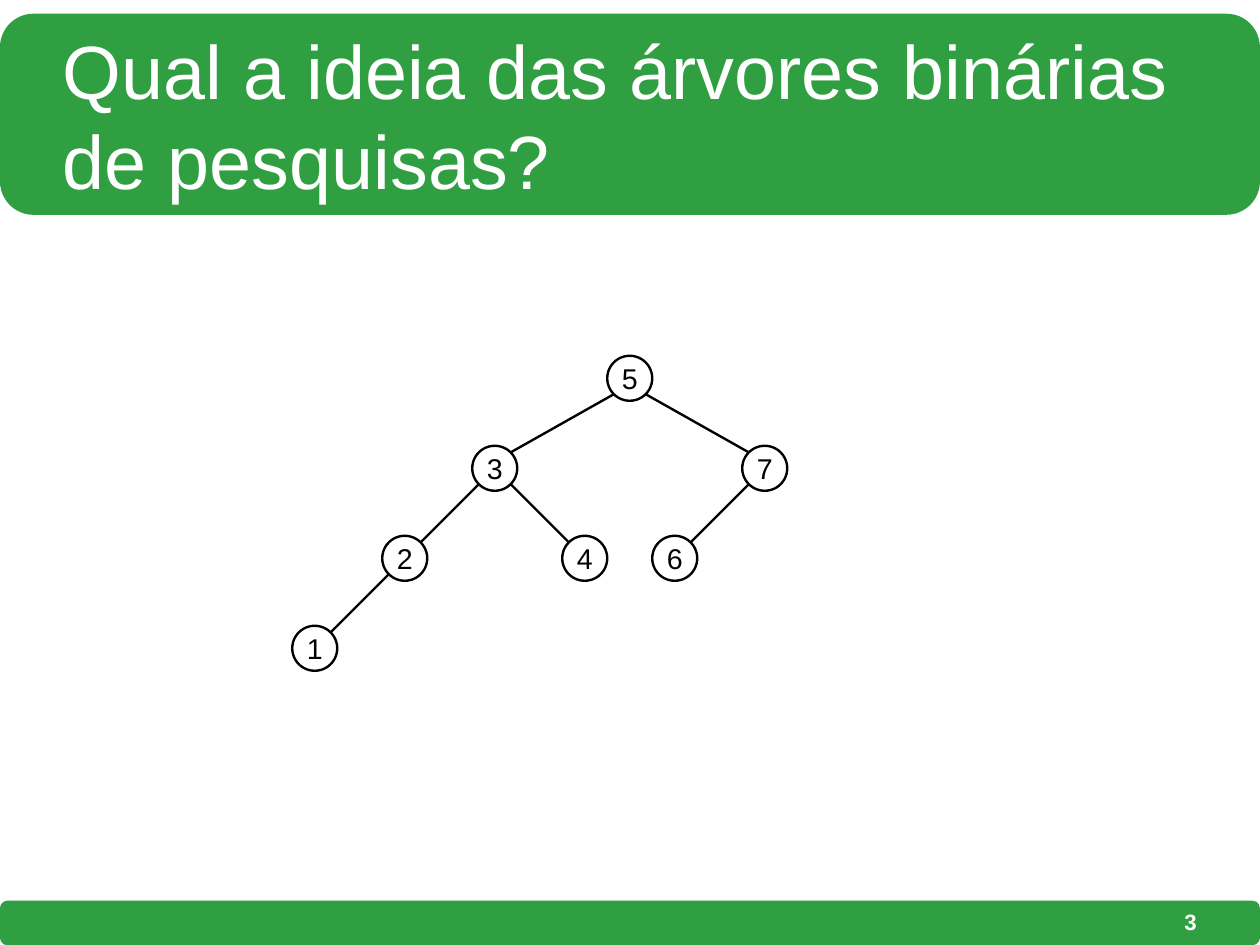
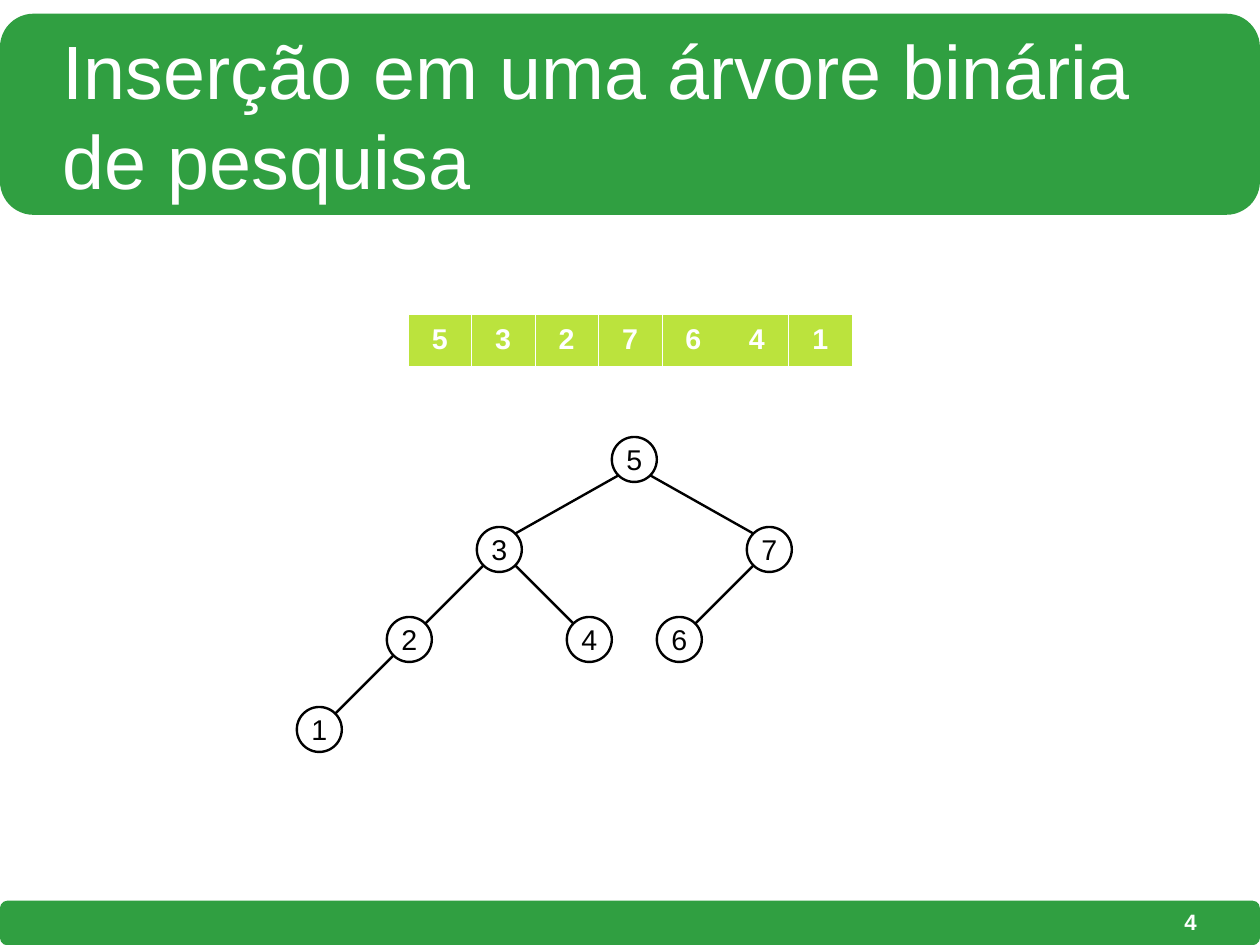
import dataclasses

import pptx
import pptx.dml.color
import pptx.enum.shapes
import pptx.enum.text
import pptx.oxml
import pptx.oxml.ns
import pptx.util

Inches = pptx.util.Inches
Pt = pptx.util.Pt
Align = pptx.enum.text.PP_ALIGN
Anchor = pptx.enum.text.MSO_ANCHOR
ShapeKind = pptx.enum.shapes.MSO_SHAPE


@dataclasses.dataclass(frozen=True)
class Theme:
    font: str = "Arial"
    band: str = "309F41"
    cell: str = "BBE33D"
    light: str = "FFFFFF"
    ink: str = "000000"
    title_size: float = 47.6
    body_size: float = 18
    number_size: float = 14
    tree_line: float = 1.5
    cell_line: float = 0.06


THEME = Theme()
GRID = 1 / 2.54  # one centimetre: the diameter of a node
LEVEL_STEP = 2 * GRID
WIDTH, HEIGHT = 28 * GRID, 21 * GRID
MARGIN = 0.55
TITLE_BAND = (0, 0.12, WIDTH, 1.76)
FOOTER_BAND = (0, 7.88, WIDTH, 0.39)
TITLE_BOX = (MARGIN, 0.26, WIDTH - 2 * MARGIN, 1.48)
NUMBER_BOX = (7.9, 7.87, 2.57, 0.39)

# key: (parent, columns from the root, level)
TREE = {
    5: (None, 0, 0),
    3: (5, -3, 1),
    2: (3, -5, 2),
    7: (5, 3, 1),
    6: (7, 1, 2),
    4: (3, -1, 2),
    1: (2, -7, 3),
}

SLIDES = [
    {
        "title": "Qual a ideia das árvores binárias de pesquisas?",
        "number": 3,
        "root": (5.51, 3.31),
    },
    {
        "title": "Inserção em uma árvore binária de pesquisa",
        "number": 4,
        "root": (5.55, 4.02),
        "keys": [5, 3, 2, 7, 6, 4, 1],
    },
]
TABLE_LEFT, TABLE_TOP = 3.57, 2.75
CELL_WIDTH, CELL_HEIGHT = 0.555, 0.45
UNRULED_EDGE = 5  # the edge between the fifth and sixth cells has no line


def rgb(color):
    return pptx.dml.color.RGBColor.from_string(color)


def inches(*lengths):
    return [Inches(length) for length in lengths]


def write(text_frame, text, *, size, color, bold=False, align=Align.LEFT):
    paragraph = text_frame.paragraphs[0]
    paragraph.alignment = align
    run = paragraph.add_run()
    run.text = str(text)
    run.font.name = THEME.font
    run.font.size = Pt(size)
    run.font.bold = bold
    run.font.color.rgb = rgb(color)


def fit_frame(text_frame, wrap=True):
    """Centre the text vertically and drop the inner margins."""
    text_frame.word_wrap = wrap
    text_frame.auto_size = pptx.enum.text.MSO_AUTO_SIZE.NONE
    text_frame.vertical_anchor = Anchor.MIDDLE
    text_frame.margin_left = text_frame.margin_right = 0
    text_frame.margin_top = text_frame.margin_bottom = 0


def add_bands(layout, slide):
    """Draw the bands on the slide, then move them behind everything on its layout."""
    for box in (TITLE_BAND, FOOTER_BAND):
        band = slide.shapes.add_shape(ShapeKind.ROUNDED_RECTANGLE, *inches(*box))
        band.shadow.inherit = False
        band.fill.solid()
        band.fill.fore_color.rgb = rgb(THEME.band)
        band.line.fill.background()
        layout.shapes.element.insert(2, band.element)


def add_title(slide, text):
    title = slide.shapes.title
    title.left, title.top, title.width, title.height = inches(*TITLE_BOX)
    fit_frame(title.text_frame)
    write(title.text_frame, text, size=THEME.title_size, color=THEME.light)


def add_number(slide, number):
    box = slide.shapes.add_textbox(*inches(*NUMBER_BOX))
    fit_frame(box.text_frame)
    write(box.text_frame, number, size=THEME.number_size, color=THEME.light,
          bold=True, align=Align.RIGHT)


def add_node(shapes, key, center):
    x, y = center
    node = shapes.add_shape(
        ShapeKind.OVAL, *inches(x - GRID / 2, y - GRID / 2, GRID, GRID))
    node.shadow.inherit = False
    node.fill.background()
    node.line.color.rgb = rgb(THEME.ink)
    node.line.width = Pt(THEME.tree_line)
    fit_frame(node.text_frame, wrap=False)
    write(node.text_frame, key, size=THEME.body_size, color=THEME.ink, align=Align.CENTER)


def add_branch(shapes, parent, child):
    """Join the lower diagonal point of the parent to the upper one of the child."""
    reach = GRID / 2 * 0.5 ** 0.5
    side = reach if child[0] > parent[0] else -reach
    branch = shapes.add_connector(
        pptx.enum.shapes.MSO_CONNECTOR.STRAIGHT,
        *inches(parent[0] + side, parent[1] + reach, child[0] - side, child[1] - reach))
    branch.line.color.rgb = rgb(THEME.ink)
    branch.line.width = Pt(THEME.tree_line)
    branch.element.spPr.append(pptx.oxml.parse_xml(
        f"<a:effectLst {pptx.oxml.ns.nsdecls('a')}/>"))


def add_tree(slide, root):
    shapes = slide.shapes.add_group_shape().shapes
    centers = {
        key: (root[0] + column * GRID, root[1] + level * LEVEL_STEP)
        for key, (_, column, level) in TREE.items()
    }
    for key, (parent, _, _) in TREE.items():
        add_node(shapes, key, centers[key])
        if parent is not None:
            add_branch(shapes, centers[parent], centers[key])


def rule_cell(cell, unruled):
    """Give the cell white borders, except on the unruled sides."""
    properties = cell._tc.get_or_add_tcPr()
    for index, side in enumerate("LRTB"):
        paint = ("<a:noFill/>" if side in unruled else
                 f'<a:solidFill><a:srgbClr val="{THEME.light}"/></a:solidFill>')
        properties.insert(index, pptx.oxml.parse_xml(
            f'<a:ln{side} {pptx.oxml.ns.nsdecls("a")} w="{Pt(THEME.cell_line)}">'
            f"{paint}</a:ln{side}>"))


def add_key_table(slide, keys):
    table = slide.shapes.add_table(
        1, len(keys),
        *inches(TABLE_LEFT, TABLE_TOP, CELL_WIDTH * len(keys), CELL_HEIGHT)).table
    table.first_row = table.horz_banding = False
    for index, key in enumerate(keys):
        table.columns[index].width = Inches(CELL_WIDTH)
        cell = table.cell(0, index)
        cell.vertical_anchor = Anchor.MIDDLE
        cell.fill.solid()
        cell.fill.fore_color.rgb = rgb(THEME.cell)
        rule_cell(cell, {UNRULED_EDGE - 1: "R", UNRULED_EDGE: "L"}.get(index, ""))
        write(cell.text_frame, key, size=THEME.body_size, color=THEME.light,
              bold=True, align=Align.CENTER)


def main():
    presentation = pptx.Presentation()
    presentation.slide_width, presentation.slide_height = inches(WIDTH, HEIGHT)
    layout = presentation.slide_layouts.get_by_name("Title Only")
    for position, content in enumerate(SLIDES):
        slide = presentation.slides.add_slide(layout)
        if position == 0:
            add_bands(layout, slide)
        add_title(slide, content["title"])
        if "keys" in content:
            add_key_table(slide, content["keys"])
        add_tree(slide, content["root"])
        add_number(slide, content["number"])
    presentation.save("out.pptx")


if __name__ == "__main__":
    main()
